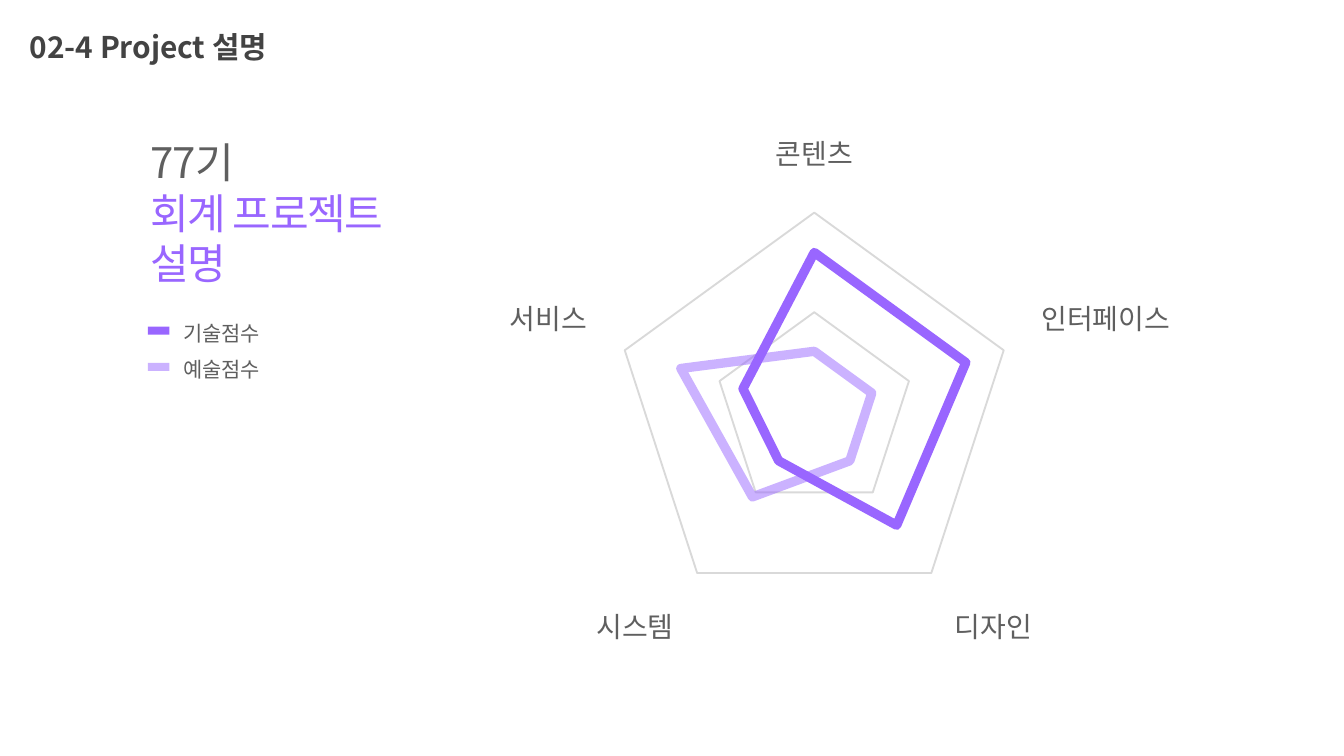
from lxml.etree import SubElement
from pptx import Presentation
from pptx.chart.data import CategoryChartData
from pptx.dml.color import RGBColor
from pptx.enum.chart import XL_CHART_TYPE, XL_MARKER_STYLE, XL_TICK_MARK
from pptx.enum.shapes import MSO_SHAPE
from pptx.enum.text import MSO_ANCHOR, MSO_AUTO_SIZE, PP_ALIGN
from pptx.oxml.ns import qn
from pptx.util import Inches, Pt

FONT = "Noto Sans CJK KR"
PURPLE = RGBColor(0x99, 0x66, 0xFF)
GREY = RGBColor(0x5F, 0x5F, 0x5F)
DARK = RGBColor(0x43, 0x43, 0x43)
GRID = RGBColor(0xD9, 0xD9, 0xD9)
AXIS = RGBColor(0xE3, 0xE3, 0xE3)

TITLE = "02-4 Project 설명"
HEADING = [("77기", GREY), ("회계 프로젝트 설명", PURPLE)]
CATEGORIES = ["콘텐츠", "인터페이스", "디자인", "시스템", "서비스"]
SERIES = [
    ("Series 1", (100, 100, 88, 38, 47), 100),
    ("Series 2", (38, 38, 38, 66, 88), 50),
]
LEGEND = [("기술점수", 2.36, 2.43, 100), ("예술점수", 2.63, 2.7, 50)]


def style_font(font, size, color, bold=False, spacing=0):
    font.size = Pt(size)
    font.bold = bold
    font.color.rgb = color
    font.name = FONT
    props = font._element
    SubElement(props, qn("a:ea")).set("typeface", FONT)
    if spacing:
        props.set("spc", str(round(spacing * 100)))


def set_alpha(element, percent):
    if percent < 100:
        for color in element.iter(qn("a:srgbClr")):
            SubElement(color, qn("a:alpha")).set("val", str(percent * 1000))


def add_text(s, box, lines, size, spacing, anchor=MSO_ANCHOR.TOP, line_spacing=None):
    tf = s.shapes.add_textbox(*map(Inches, box)).text_frame
    tf.word_wrap = False
    tf.vertical_anchor = anchor
    for i, (text, color) in enumerate(lines):
        p = tf.paragraphs[0] if i == 0 else tf.add_paragraph()
        p.text = text
        p.alignment = PP_ALIGN.LEFT
        p.line_spacing = line_spacing
        style_font(p.font, size, color, spacing=spacing)
    return tf


def add_title(s):
    title = s.shapes.title
    title.left, title.top, title.width, title.height = map(Inches, (0.12, 0.11, 2.36, 0.47))
    tf = title.text_frame
    tf.word_wrap = True
    tf.vertical_anchor = MSO_ANCHOR.MIDDLE
    tf.margin_left = tf.margin_right = tf.margin_top = tf.margin_bottom = Inches(0.1)
    p = tf.paragraphs[0]
    p.text = TITLE
    p.alignment = PP_ALIGN.LEFT
    style_font(p.font, 16, DARK, bold=True)


def add_radar(s):
    data = CategoryChartData()
    data.categories = CATEGORIES
    for name, values, _ in SERIES:
        data.add_series(name, values)
    chart = s.shapes.add_chart(
        XL_CHART_TYPE.RADAR, *map(Inches, (3.69, 0.59, 5.12, 4.61)), data
    ).chart
    chart.has_legend = False
    chart.has_title = False
    chart.font.size = Pt(10)
    chart.font.name = "Arial"
    chart.font.color.rgb = DARK

    axis = chart.category_axis
    axis.major_tick_mark = XL_TICK_MARK.NONE
    axis.minor_tick_mark = XL_TICK_MARK.OUTSIDE
    axis.format.line.color.rgb = AXIS
    axis.format.line.width = Pt(0.75)
    style_font(axis.tick_labels.font, 15, GREY)

    axis = chart.value_axis
    axis.minimum_scale, axis.maximum_scale, axis.major_unit = 0, 125, 62.5
    axis.has_major_gridlines = True
    axis.major_gridlines.format.line.color.rgb = GRID
    axis.major_gridlines.format.line.width = Pt(1)
    axis.visible = False

    for series, (_, _, opacity) in zip(chart.plots[0].series, SERIES):
        series.smooth = False
        series.marker.style = XL_MARKER_STYLE.NONE
        line = series.format.line
        line.color.rgb = PURPLE
        line.width = Pt(5)
        ln = series._element.find(qn("c:spPr")).find(qn("a:ln"))
        ln.set("cap", "rnd")
        SubElement(ln, qn("a:round"))
        set_alpha(ln, opacity)


def add_legend(s):
    for label, text_top, key_top, opacity in LEGEND:
        add_text(s, (1.27, text_top, 0.88, 0.2), [(label, GREY)], 11.2, -0.2,
                 MSO_ANCHOR.MIDDLE, 1.2)
        key = s.shapes.add_shape(
            MSO_SHAPE.ROUNDED_RECTANGLE, *map(Inches, (1.1, key_top, 0.16, 0.06)))
        key.adjustments[0] = 0
        key.shadow.inherit = False
        key.fill.solid()
        key.fill.fore_color.rgb = PURPLE
        key.line.fill.background()
        set_alpha(key._element.spPr, opacity)


def main():
    prs = Presentation()
    prs.slide_width = Inches(10)
    prs.slide_height = prs.slide_width * 9 // 16
    s = prs.slides.add_slide(prs.slide_layouts[5])
    add_title(s)
    heading = add_text(s, (1.02, 0.97, 2.38, 1.24), HEADING, 22.5, -0.8)
    heading.auto_size = MSO_AUTO_SIZE.SHAPE_TO_FIT_TEXT
    add_radar(s)
    add_legend(s)
    prs.save("out.pptx")


if __name__ == "__main__":
    main()
